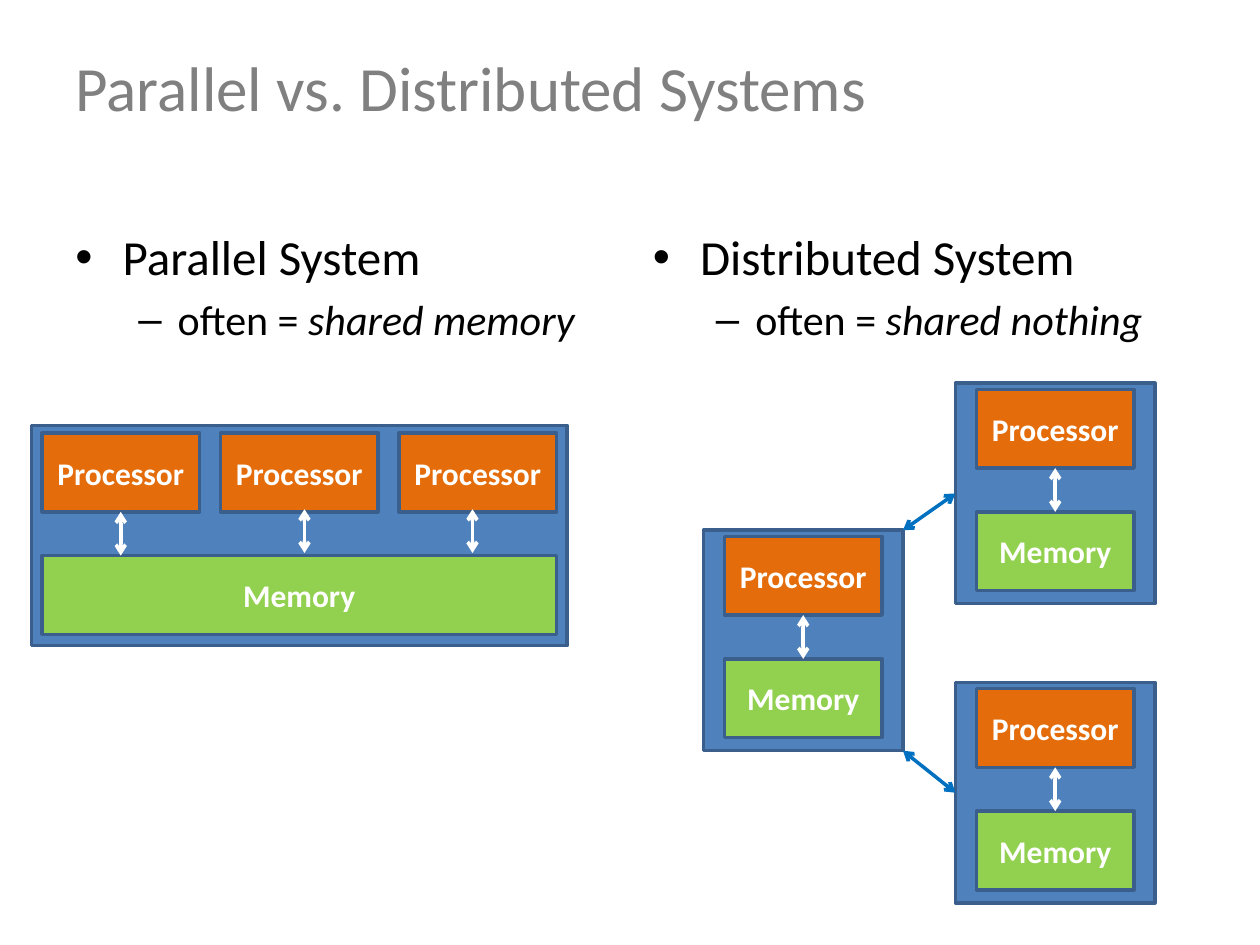
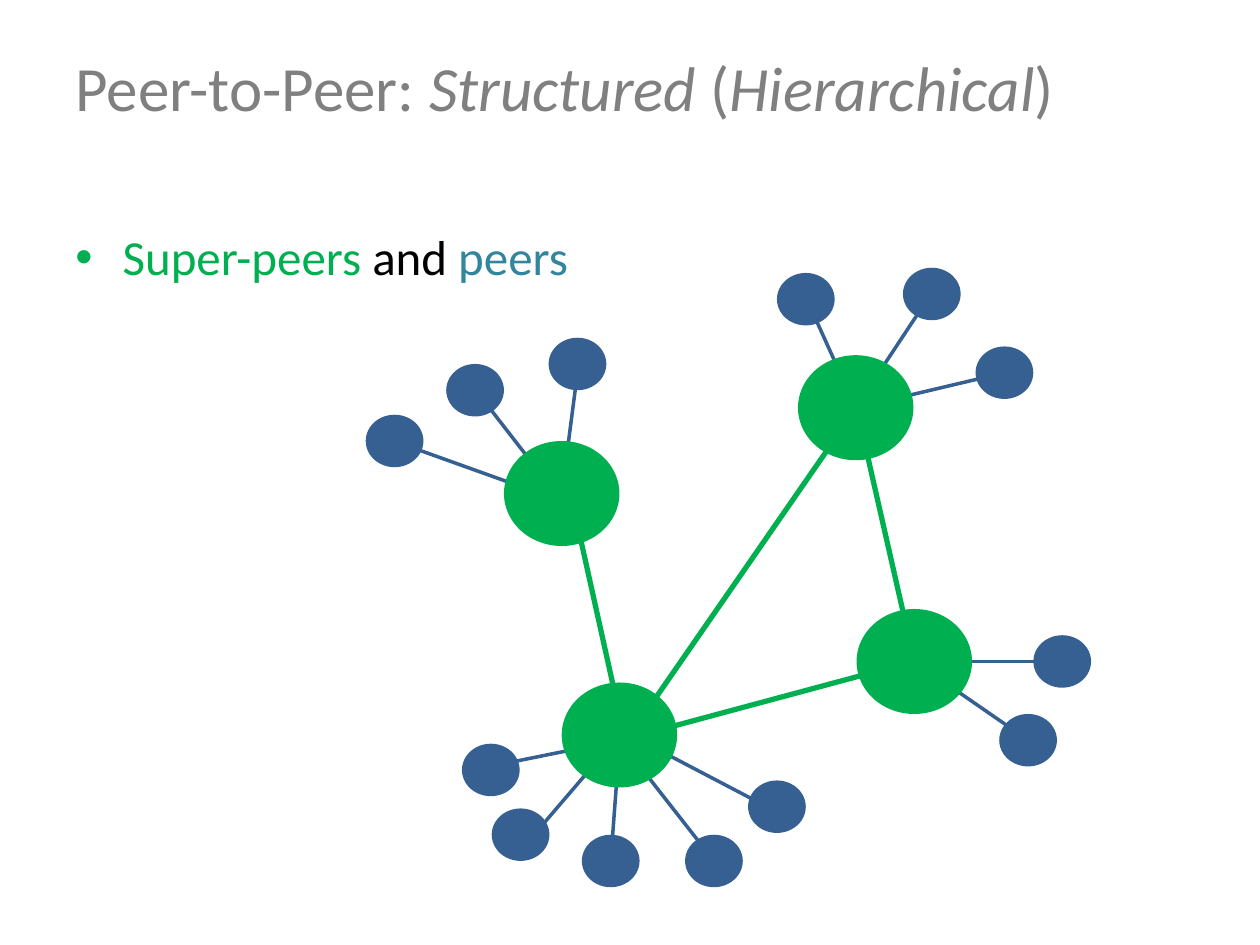
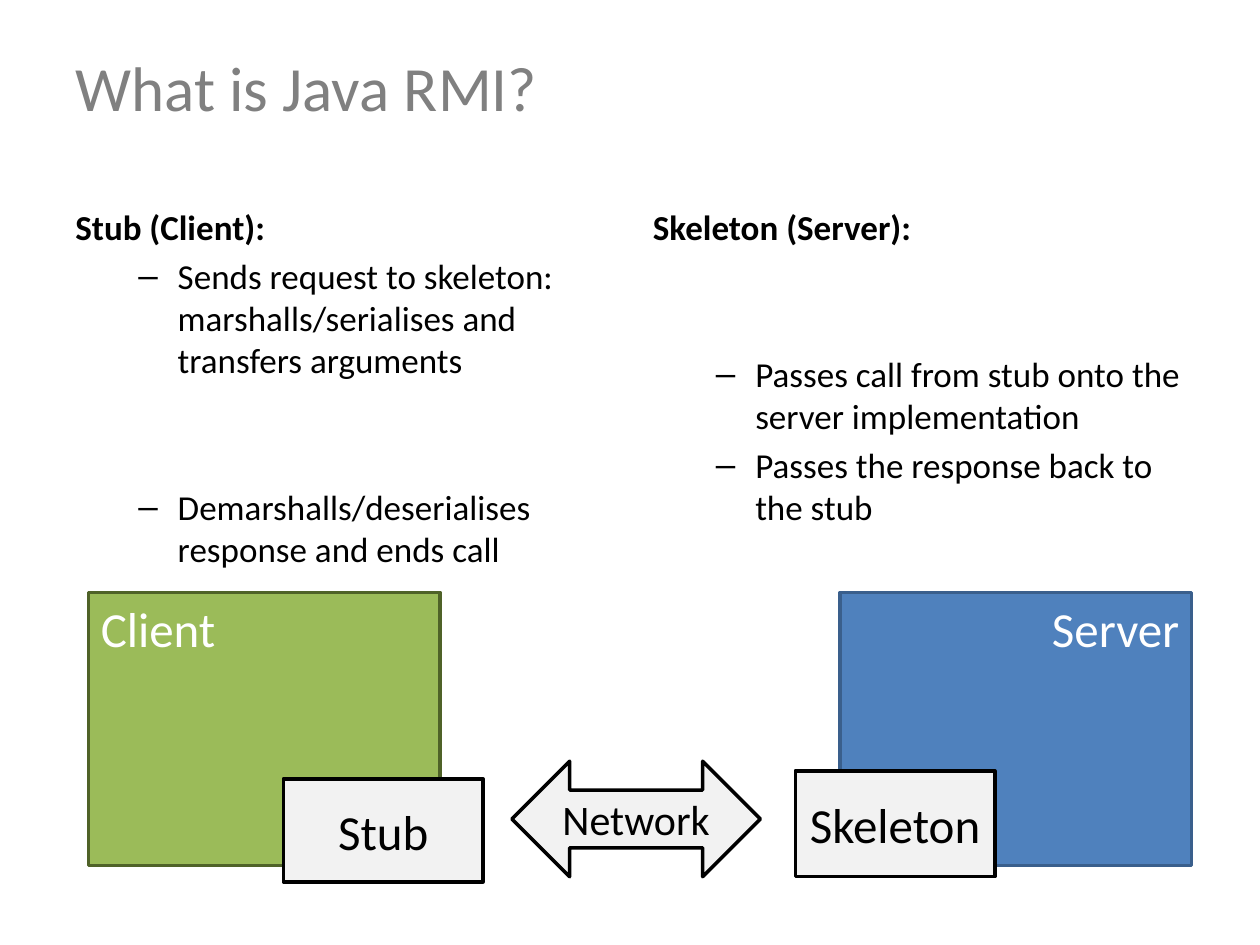
from lxml import etree
from pptx import Presentation
from pptx.dml.color import RGBColor
from pptx.enum.shapes import MSO_CONNECTOR, MSO_SHAPE
from pptx.enum.text import MSO_ANCHOR, MSO_AUTO_SIZE, PP_ALIGN
from pptx.oxml.ns import qn
from pptx.util import Pt

RECTANGLE = MSO_SHAPE.RECTANGLE
OVAL = MSO_SHAPE.OVAL
DOUBLE_ARROW = MSO_SHAPE.LEFT_RIGHT_ARROW
STRAIGHT = MSO_CONNECTOR.STRAIGHT
LEFT, CENTER, RIGHT = PP_ALIGN.LEFT, PP_ALIGN.CENTER, PP_ALIGN.RIGHT
TOP, MIDDLE = MSO_ANCHOR.TOP, MSO_ANCHOR.MIDDLE
NO_AUTOFIT = MSO_AUTO_SIZE.NONE
SIDE_TOP, SIDE_LEFT, SIDE_BOTTOM = 0, 1, 2

FONT = "Calibri"
COLORS = {
    "title": "808080",
    "black": "000000",
    "white": "FFFFFF",
    "blue": "4F81BD",
    "blue edge": "3A5F8C",
    "memory": "92D050",
    "processor": "E46C0A",
    "network": "0070C0",
    "peer": "376092",
    "super-peer": "00B050",
    "peer text": "31859C",
    "client": "9BBB59",
    "client edge": "4F6228",
    "light": "F2F2F2",
}

# Text columns
COLUMN_LEFTS = (36, 366)
COLUMN_WIDTH, COLUMN_HEIGHT = 318, 356
LEVEL_INDENTS = {"•": (27, -27), "–": (58.5, -22.5)}

# Slide 1: computers made of a processor and a memory
PART_SIZE = (90, 45)
COMPUTER_SIZE = (114, 126)

# Slide 2: left and top of each peer, then the ends of its line
PEER_SIZE = (33, 30)
PEERS = [
    (209, 237, (225, 252), (325.5, 288)),
    (255, 208, (271.5, 222.5), (313, 276)),
    (313.5, 193, (330, 213), (321, 282)),
    (444, 156, (461, 171), (489, 233)),
    (516, 153, (532, 168), (489, 233)),
    (557.5, 198, (574, 213), (489.5, 233)),
    (590.5, 363, (600, 378), (533, 378)),
    (571, 408, (590.5, 425), (522.5, 378)),
    (264, 425, (275, 439), (354, 423)),
    (281, 462, (306, 476), (354, 420)),
    (332.5, 477, (349, 492), (354, 425)),
    (391.5, 477, (408, 492), (354, 423)),
    (427.5, 446, (444, 464), (360, 420)),
]
SUPER_PEER_SIZE = (66, 60)
SUPER_PEERS = [(288, 252), (456, 203), (489.5, 348), (321, 390)]
SUPER_PEER_LINKS = [
    ((330, 300), (354, 408)),
    ((522, 378), (366, 420)),
    ((489.5, 233), (522.5, 378)),
    ((489.5, 233), (360, 420)),
]


def color(name):
    return RGBColor.from_string(COLORS[name])


def format_run(run, size, color_name, bold=False, italic=False):
    run.font.name = FONT
    run.font.size = Pt(size)
    run.font.bold = bold
    run.font.italic = italic
    run.font.color.rgb = color(color_name)


def add_runs(paragraph, runs, size, color_name):
    """Add (text, format) pairs; each format overrides the defaults."""
    for text, overrides in runs:
        run = paragraph.add_run()
        run.text = text
        format_run(run, **{"size": size, "color_name": color_name, **overrides})


def add_title_slide(presentation, runs):
    slide = presentation.slides.add_slide(presentation.slide_layouts[5])
    title = slide.shapes.title
    title.left, title.top, title.width, title.height = Pt(36), Pt(21.5), Pt(648), Pt(56)
    frame = title.text_frame
    frame.auto_size = NO_AUTOFIT
    frame.vertical_anchor = MIDDLE
    frame.paragraphs[0].alignment = LEFT
    add_runs(frame.paragraphs[0], runs, 36, "title")
    return slide


def set_bullet(paragraph, character):
    margin, indent = LEVEL_INDENTS[character]
    properties = paragraph._p.get_or_add_pPr()
    properties.set("marL", str(Pt(margin)))
    properties.set("indent", str(Pt(indent)))
    etree.SubElement(properties, qn("a:buFont")).set("typeface", "Arial")
    etree.SubElement(properties, qn("a:buChar")).set("char", character)


def add_column(slide, column, top, paragraphs):
    """Each paragraph is (bullet or None, size, runs, extra space before)."""
    box = slide.shapes.add_textbox(
        Pt(COLUMN_LEFTS[column]), Pt(top), Pt(COLUMN_WIDTH), Pt(COLUMN_HEIGHT))
    frame = box.text_frame
    frame.word_wrap = True
    for index, (bullet, size, runs, extra_space) in enumerate(paragraphs):
        paragraph = frame.add_paragraph() if index else frame.paragraphs[0]
        paragraph.space_before = Pt(0.2 * size + extra_space)
        if bullet:
            set_bullet(paragraph, bullet)
        add_runs(paragraph, runs, size, "black")


def add_block(slide, kind, position, size, fill, edge=None):
    shape = slide.shapes.add_shape(kind, *map(Pt, (*position, *size)))
    shape.shadow.inherit = False
    shape.fill.solid()
    shape.fill.fore_color.rgb = color(fill)
    if edge:
        shape.line.color.rgb = color(edge)
        shape.line.width = Pt(2)
    else:
        shape.line.fill.background()
    return shape


def add_label(shape, text, size, color_name, bold=False, alignment=CENTER, anchor=MIDDLE):
    frame = shape.text_frame
    frame.text = text
    frame.word_wrap = True
    frame.vertical_anchor = anchor
    frame.paragraphs[0].alignment = alignment
    format_run(frame.paragraphs[0].runs[0], size, color_name, bold)


def add_line(slide, start, end, color_name, width=2, arrows=False):
    connector = slide.shapes.add_connector(STRAIGHT, *map(Pt, (*start, *end)))
    connector.line.color.rgb = color(color_name)
    connector.line.width = Pt(width)
    if arrows:
        line = connector.line._get_or_add_ln()
        for tag in ("a:headEnd", "a:tailEnd"):
            etree.SubElement(line, qn(tag)).set("type", "arrow")
    etree.SubElement(connector._element.spPr, qn("a:effectLst"))
    return connector


def add_part(slide, name, left, top, width=PART_SIZE[0]):
    part = add_block(slide, RECTANGLE, (left, top), (width, PART_SIZE[1]),
                     name.lower(), "blue edge")
    add_label(part, name, 18, "white", bold=True)
    return part


def add_computer(slide, left, top):
    computer = add_block(slide, RECTANGLE, (left, top), COMPUTER_SIZE, "blue", "blue edge")
    processor = add_part(slide, "Processor", left + 12, top + 3.5)
    memory = add_part(slide, "Memory", left + 12, top + 73.5)
    middle = left + COMPUTER_SIZE[0] / 2
    bus = add_line(slide, (middle, top + 48.5), (middle, top + 73.5), "white", arrows=True)
    bus.begin_connect(processor, SIDE_BOTTOM)
    bus.end_connect(memory, SIDE_TOP)
    return computer


def build_systems_slide(presentation):
    slide = add_title_slide(presentation, [("Parallel vs. Distributed Systems", {})])
    columns = [("Parallel System", "shared memory"), ("Distributed System", "shared nothing")]
    for column, (system, sharing) in enumerate(columns):
        add_column(slide, column, 126, [
            ("•", 28, [(system, {})], 0),
            ("–", 24, [("often = ", {}), (sharing, {"italic": True})], 0),
        ])

    # Parallel system: three processors share one memory
    add_block(slide, RECTANGLE, (18, 243), (306, 126), "blue", "blue edge")
    add_part(slide, "Memory", 24, 317.5, width=294)
    processors = [add_part(slide, "Processor", 24 + 102 * index, 247.5) for index in range(3)]
    bus = add_line(slide, (69, 292.5), (69, 317.5), "white", arrows=True)
    bus.begin_connect(processors[0], SIDE_BOTTOM)
    for x in (174, 270):
        add_line(slide, (x, 291), (x, 316), "white", arrows=True)

    # Distributed system: one computer linked to two others
    left, top = 402, 303
    add_computer(slide, left, top)
    corner_x = left + COMPUTER_SIZE[0]
    for other_top, corner_y in ((219, top), (390, top + COMPUTER_SIZE[1])):
        other = add_computer(slide, 546, other_top)
        link = add_line(slide, (corner_x, corner_y),
                        (546, other_top + COMPUTER_SIZE[1] / 2), "network", arrows=True)
        link.end_connect(other, SIDE_LEFT)


def build_peers_slide(presentation):
    italic = {"italic": True}
    slide = add_title_slide(presentation, [
        ("Peer-to-Peer: ", {}), ("Structured", italic), (" (", {}),
        ("Hierarchical", italic), (")", {}),
    ])
    add_column(slide, 0, 126, [("•", 28, [
        ("Super-peers", {"color_name": "super-peer"}),
        (" and ", {}),
        ("peers", {"color_name": "peer text"}),
    ], 0)])

    # Lines go behind the nodes
    for _, _, start, end in PEERS:
        add_line(slide, start, end, "peer")
    for start, end in SUPER_PEER_LINKS:
        add_line(slide, start, end, "super-peer", width=3)
    for left, top, _, _ in PEERS:
        add_block(slide, OVAL, (left, top), PEER_SIZE, "peer")
    for position in SUPER_PEERS:
        add_block(slide, OVAL, position, SUPER_PEER_SIZE, "super-peer")


def build_rmi_slide(presentation):
    slide = add_title_slide(presentation, [("What is Java RMI?", {})])
    columns = [
        ("Stub (Client):", [
            ("Sends request to skeleton: marshalls/serialises and transfers arguments", 0),
            ("Demarshalls/deserialises response and ends call", 56),
        ]),
        ("Skeleton (Server):", [
            ("Passes call from stub onto the server implementation", 56),
            ("Passes the response back to the stub", 0),
        ]),
    ]
    for column, (heading, steps) in enumerate(columns):
        add_column(slide, column, 114, [(None, 20, [(heading, {"bold": True})], 0)] + [
            ("–", 20, [(text, {})], extra_space) for text, extra_space in steps])

    # Client and server machines
    machines = [
        ("Client", 50.5, "client", "client edge", LEFT),
        ("Server", 480, "blue", "blue edge", RIGHT),
    ]
    for name, left, fill, edge, alignment in machines:
        machine = add_block(slide, RECTANGLE, (left, 338.5), (201, 156), fill, edge)
        add_label(machine, name, 28, "white", alignment=alignment, anchor=TOP)

    # Stub and skeleton talk over the network
    endpoints = [
        ("Stub", RECTANGLE, (162, 445), (114, 59), 28),
        ("Network", DOUBLE_ARROW, (292.5, 435), (142, 66), 24),
        ("Skeleton", RECTANGLE, (454.5, 440.5), (114, 60.5), 28),
    ]
    for name, kind, position, size, font_size in endpoints:
        shape = add_block(slide, kind, position, size, "light", "black")
        add_label(shape, name, font_size, "black")


def main():
    presentation = Presentation()
    presentation.slide_width, presentation.slide_height = Pt(720), Pt(540)
    build_systems_slide(presentation)
    build_peers_slide(presentation)
    build_rmi_slide(presentation)
    presentation.save("out.pptx")


if __name__ == "__main__":
    main()
